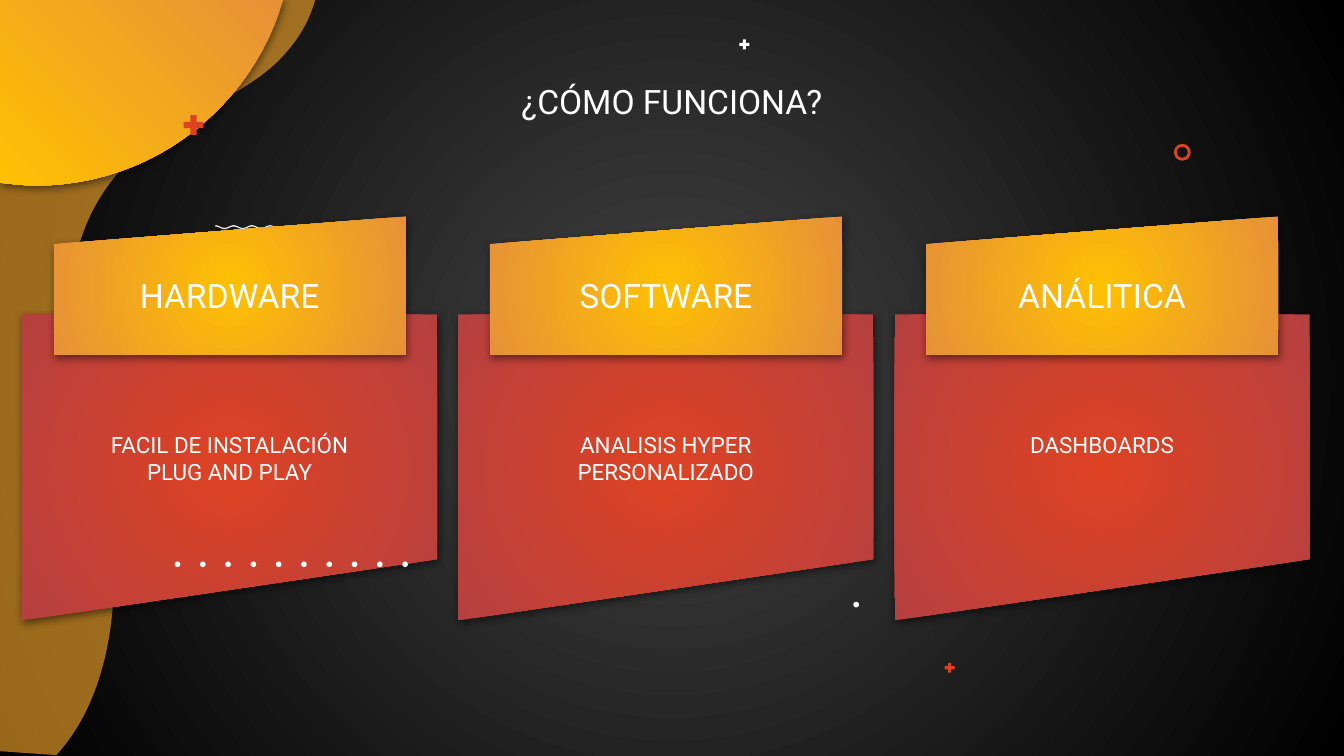
from dataclasses import dataclass
from math import cos, pi

from lxml import etree
from pptx import Presentation
from pptx.dml.color import RGBColor
from pptx.enum.shapes import MSO_SHAPE
from pptx.enum.text import MSO_ANCHOR, MSO_AUTO_SIZE, PP_ALIGN
from pptx.oxml.ns import qn
from pptx.util import Pt

MANUAL_INPUT = MSO_SHAPE.FLOWCHART_MANUAL_INPUT
OVAL = MSO_SHAPE.OVAL
PLUS = MSO_SHAPE.MATH_PLUS
TOP, MIDDLE = MSO_ANCHOR.TOP, MSO_ANCHOR.MIDDLE
CENTER = PP_ALIGN.CENTER
NO_AUTOFIT = MSO_AUTO_SIZE.NONE

FONT = "Roboto"
COLORS = {
    "white": "FFFFFF",
    "charcoal": "434343",
    "black": "000000",
    "amber": "FFAD2C",
    "yellow": "FFC002",
    "orange": "E69138",
    "red": "DE4223",
    "crimson": "B64040",
}
CENTER_FOCUS = (50, 50, 50, 50)
BOTTOM_LEFT_FOCUS = (0, 100, 100, 0)
CARD_LEFT, CARD_PITCH = 11.8, 233.7
DOT_SIZE = 3

# Outlines in points: a pair is a line end, three pairs are a Bézier curve.
BLOB = [
    ((169, -0.7),),
    ((165.6, 13), (157, 26), (144.7, 36.7)),
    ((123.8, 54), (98.6, 61.9), (77.8, 78.5)),
    ((58.3, 94.3), (45.4, 115.2), (40.3, 139.7)),
    ((38.9, 148.3), (38.2, 156.6), (38.2, 164.9)),
    ((38.2, 207.4), (56.9, 245.5), (60.5, 288)),
    ((61.2, 294.5), (61.2, 300.2), (61.2, 306.7)),
    ((61.2, 342), (53.3, 379.4), (30.2, 404.6)),
    ((0, 402.5),),
    ((0, -0.7),),
]
DISC = [
    ((19.4, 99.4),),
    ((13, 99.4), (6.5, 98.6), (0, 97.9)),
    ((0, -0.7),),
    ((151.9, -0.7),),
    ((135.4, 56.9), (82.1, 99.4), (19.4, 99.4)),
]


@dataclass
class Card:
    heading: str
    lines: list[str]


@dataclass
class Mark:
    kind: MSO_SHAPE
    left: float
    top: float
    size: float
    color: str
    outlined: bool = False


CARDS = [
    Card("HARDWARE", ["FACIL DE INSTALACIÓN", "PLUG AND PLAY"]),
    Card("SOFTWARE", ["ANALISIS HYPER PERSONALIZADO"]),
    Card("ANÁLITICA", ["DASHBOARDS"]),
]
MARKS = [
    Mark(PLUS, 96.5, 59.8, 14.4, "red"),
    Mark(OVAL, 457.2, 322.4, DOT_SIZE, "white"),
    Mark(OVAL, 629.6, 77.8, 7.5, "red", outlined=True),
    Mark(PLUS, 395.2, 20.2, 7.2, "white"),
    Mark(PLUS, 505.2, 354.2, 7.2, "red"),
]


def rgb(name: str) -> RGBColor:
    return RGBColor.from_string(COLORS[name])


def fill_solid(shape, color: str) -> None:
    shape.fill.solid()
    shape.fill.fore_color.rgb = rgb(color)


def fill_radial(fill, element, inner: str, outer: str, focus=CENTER_FOCUS) -> None:
    """Apply a circular gradient; element is the XML that holds the fill."""
    fill.gradient()
    for stop, color in zip(fill.gradient_stops, (inner, outer)):
        stop.color.rgb = rgb(color)
    gradient = element.find(".//" + qn("a:gradFill"))
    linear = gradient.find(qn("a:lin"))
    circle = etree.Element(qn("a:path"), path="circle")
    sides = {side: str(value * 1000) for side, value in zip("ltrb", focus)}
    etree.SubElement(circle, qn("a:fillToRect"), sides)
    gradient.replace(linear, circle)


def add_shadow(shape, angle: int) -> None:
    effects = shape._element.spPr.find(qn("a:effectLst"))
    shadow = etree.SubElement(
        effects, qn("a:outerShdw"), blurRad=str(Pt(4.5)), dist=str(Pt(1.5)),
        dir=str(angle * 60000), algn="bl", rotWithShape="0")
    color = etree.SubElement(shadow, qn("a:srgbClr"), val=COLORS["black"])
    etree.SubElement(color, qn("a:alpha"), val="50000")


def add_preset(slide, kind, left: float, top: float, width: float, height: float):
    shape = slide.shapes.add_shape(kind, Pt(left), Pt(top), Pt(width), Pt(height))
    shape.shadow.inherit = False
    shape.line.fill.background()
    return shape


def add_polygon(slide, points):
    scaled = [(Pt(x), Pt(y)) for x, y in points]
    builder = slide.shapes.build_freeform(*scaled[0])
    builder.add_line_segments(scaled[1:], close=True)
    shape = builder.convert_to_shape()
    shape.shadow.inherit = False
    shape.line.fill.background()
    return shape


def flatten(outline, steps: int = 24) -> list[tuple[float, float]]:
    """Turn lines and Bézier curves into a list of points."""
    points = []
    for segment in outline:
        if len(segment) == 1:
            points.append(segment[0])
            continue
        controls = (points[-1], *segment)
        for step in range(1, steps + 1):
            t = step / steps
            weights = ((1 - t) ** 3, 3 * t * (1 - t) ** 2, 3 * t * t * (1 - t), t ** 3)
            points.append(tuple(
                sum(weight * point[axis] for weight, point in zip(weights, controls))
                for axis in (0, 1)))
    return points


def write_text(shape, lines: list[str], *, size: float, anchor=TOP, inset_top: float = 0) -> None:
    frame = shape.text_frame
    frame.word_wrap = True
    frame.auto_size = NO_AUTOFIT
    frame.vertical_anchor = anchor
    frame.margin_left = frame.margin_right = frame.margin_bottom = 0
    frame.margin_top = Pt(inset_top)
    frame.text = "\n".join(lines)
    for paragraph in frame.paragraphs:
        paragraph.alignment = CENTER
        font = paragraph.runs[0].font
        font.name, font.size = FONT, Pt(size)
        font.color.rgb = rgb("white")


def add_wave(slide) -> None:
    left, width, middle, thickness, steps = 115.4, 34.2, 121.4, 0.7, 84
    crest = [(left + width * step / steps, middle - 0.7 * cos(7 * pi * step / steps))
             for step in range(steps + 1)]
    trough = [(x, y + thickness) for x, y in reversed(crest)]
    fill_solid(add_polygon(slide, crest + trough), "white")


def add_mark(slide, mark: Mark) -> None:
    shape = add_preset(slide, mark.kind, mark.left, mark.top, mark.size, mark.size)
    if mark.kind == PLUS:
        shape.adjustments[0] = 0.235
    if mark.outlined:
        shape.fill.background()
        shape.line.color.rgb = rgb(mark.color)
        shape.line.width = Pt(1.5)
    else:
        fill_solid(shape, mark.color)


def add_card(slide, card: Card, left: float) -> None:
    body = add_preset(slide, MANUAL_INPUT, left, 168.4, 222.4, 164)
    body.rotation = 180
    fill_radial(body.fill, body._element, "red", "crimson")
    header = add_preset(slide, MANUAL_INPUT, left + 17, 116, 188.6, 74.2)
    fill_radial(header.fill, header._element, "yellow", "orange")
    for panel in (body, header):
        add_shadow(panel, 75)
    for lines, top, size, anchor in (([card.heading], 139.9, 18, MIDDLE),
                                     (card.lines, 230.2, 12, TOP)):
        box = slide.shapes.add_textbox(Pt(left + 45), Pt(top), Pt(132.5), Pt(36))
        write_text(box, lines, size=size, anchor=anchor, inset_top=0.7)


def main() -> None:
    presentation = Presentation()
    presentation.slide_width, presentation.slide_height = Pt(720), Pt(405)
    slide = presentation.slides.add_slide(presentation.slide_layouts[5])
    fill_radial(slide.background.fill, slide._element, "charcoal", "black")

    title = slide.shapes.title
    title.left, title.top, title.width, title.height = Pt(115.2), Pt(43.2), Pt(489.6), Pt(41.8)
    write_text(title, ["¿CÓMO FUNCIONA?"], size=18)

    blob = add_polygon(slide, flatten(BLOB))
    fill_solid(blob, "amber")
    blob_color = blob._element.spPr.find(qn("a:solidFill")).find(qn("a:srgbClr"))
    etree.SubElement(blob_color, qn("a:alpha"), val="60000")
    disc = add_polygon(slide, flatten(DISC))
    fill_radial(disc.fill, disc._element, "yellow", "orange", BOTTOM_LEFT_FOCUS)
    add_shadow(disc, 69)

    add_wave(slide)
    for mark in MARKS:
        add_mark(slide, mark)
    for index, card in enumerate(CARDS):
        add_card(slide, card, CARD_LEFT + index * CARD_PITCH)
    for index in range(10):
        add_mark(slide, Mark(OVAL, 93.6 + index * 13.55, 300.8, DOT_SIZE, "white"))
    presentation.save("out.pptx")


if __name__ == "__main__":
    main()
